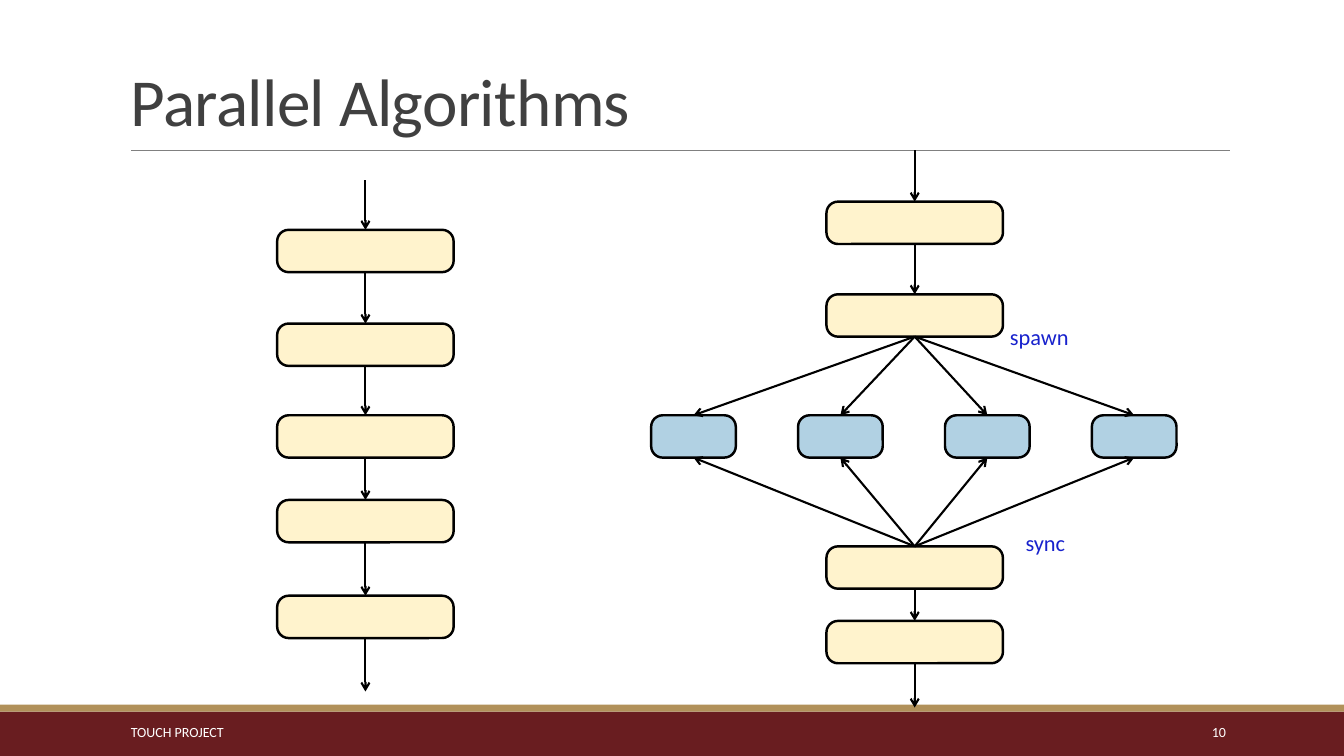
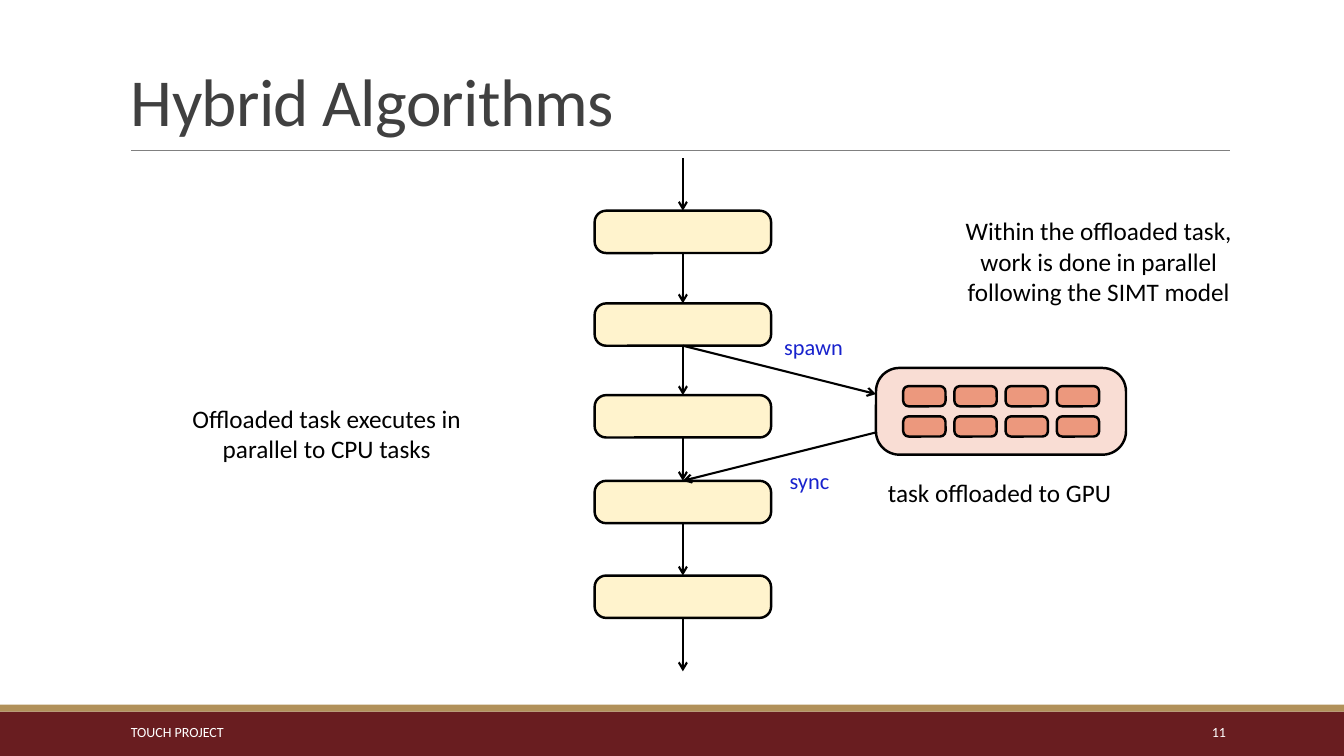
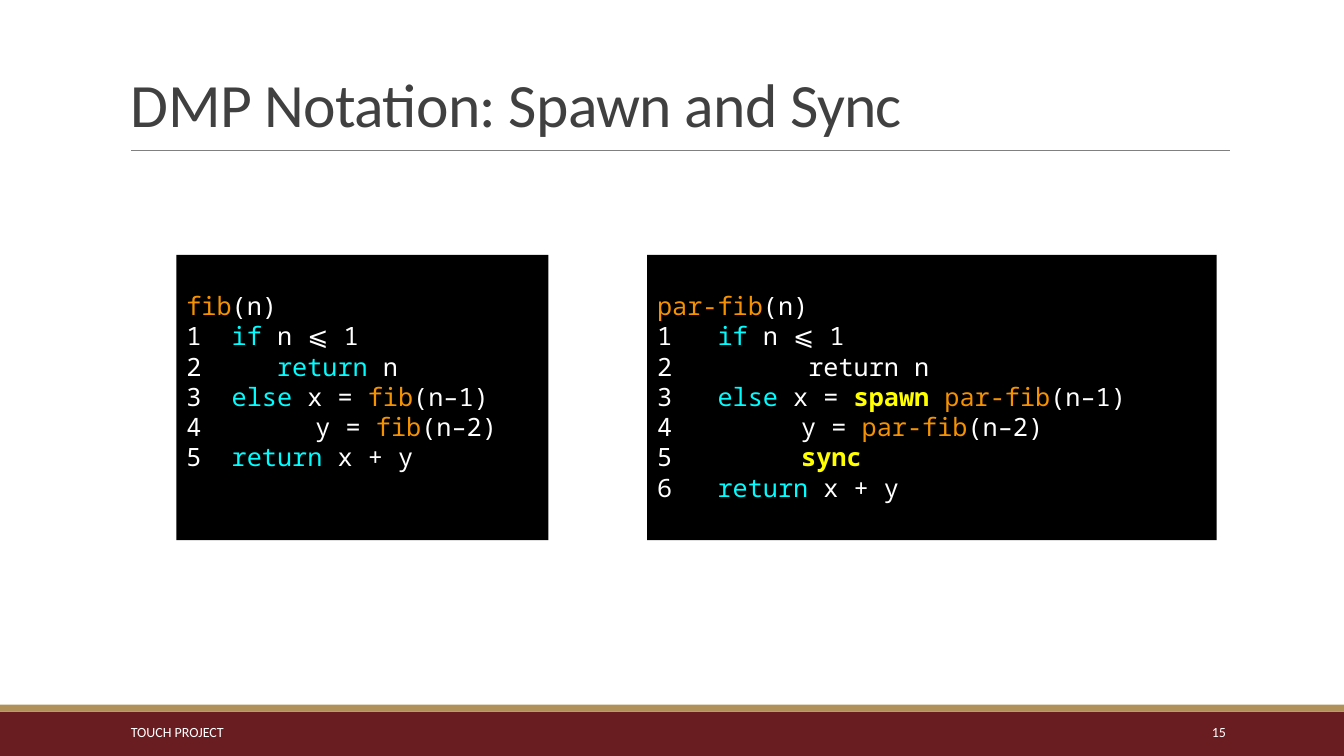
from lxml.etree import SubElement
from pptx import Presentation
from pptx.dml.color import RGBColor
from pptx.enum.shapes import MSO_CONNECTOR as CONNECTOR, MSO_SHAPE as SHAPE
from pptx.enum.text import MSO_ANCHOR as ANCHOR, PP_ALIGN as ALIGN
from pptx.oxml.ns import qn
from pptx.util import Inches, Pt

WIDTH, HEIGHT = Inches(13.33), Inches(7.5)

# Shared look; all positions and sizes are percentages of the slide
FONT, CODE_FONT = "Calibri", "Noto Sans Mono"
BLACK, WHITE, TITLE_GREY, RULE_GREY = "000000", "FFFFFF", "404040", "808080"
MAROON, GOLD, LABEL_BLUE = "691D20", "B1915A", "1822CD"
STEP_FILL, WORKER_FILL, GPU_FILL, CORE_FILL = "FFF3CD", "B1D1E3", "F9DDD4", "EC987D"
RULE_Y, FOOTER_Y = 19.87, 94.13
STEP_W, STEP_H, WORKER_W = 13.13, 5.6, 6.3
CORNER = 0.27

# Code colours by token
CYAN, ORANGE, YELLOW = "00FDFF", "F69200", "FFFF00"
TOKEN_COLOURS = {
    "if": CYAN, "else": CYAN, "return": CYAN,
    "fib": ORANGE, "par-fib": ORANGE,
    "spawn": YELLOW, "sync": YELLOW,
}

# Lines that start with a space are numbered automatically
FIB = [
    "fib|(n)",
    "1  |if| n ⩽ 1",
    "2     |return| n",
    "3  |else| x = |fib|(n–1)",
    "      y = |fib|(n–2)",
    "5  |return| x + y",
]
PAR_FIB = [
    "par-fib|(n)",
    "1   |if| n ⩽ 1",
    "2         return n",
    "3   |else |x = |spawn |par-fib|(n–1)",
    "       y = |par-fib|(n–2)",
    "       |sync",
    "6   |return| x + y",
]
FIRST_AUTO_NUMBER = 4


def colour(hex_value):
    return RGBColor.from_string(hex_value)


def across(share):
    return round(WIDTH * share / 100)


def down(share):
    return round(HEIGHT * share / 100)


def area(x, y, w, h):
    return across(x), down(y), across(w), down(h)


# Kinds of element
def block(slide, x, y, w, h, fill, kind=SHAPE.RECTANGLE):
    shape = slide.shapes.add_shape(kind, *area(x, y, w, h))
    shape.shadow.inherit = False
    shape.fill.solid()
    shape.fill.fore_color.rgb = colour(fill)
    shape.line.fill.background()
    return shape


def rounded(slide, x, y, w, h, fill):
    shape = block(slide, x, y, w, h, fill, SHAPE.ROUNDED_RECTANGLE)
    shape.adjustments[0] = CORNER
    shape.line.color.rgb = colour(BLACK)
    shape.line.width = Pt(1.75)


def line(slide, start, end, ink=BLACK, width=1.5, arrow=True):
    (x1, y1), (x2, y2) = start, end
    connector = slide.shapes.add_connector(
        CONNECTOR.STRAIGHT, across(x1), down(y1), across(x2), down(y2))
    connector.line.color.rgb = colour(ink)
    connector.line.width = Pt(width)
    if arrow:
        SubElement(connector.line._get_or_add_ln(), qn("a:tailEnd"), type="arrow")
    SubElement(connector._element.spPr, qn("a:effectLst"))


def style(paragraph, size, ink, name=FONT):
    paragraph.font.size = Pt(size)
    paragraph.font.name = name
    paragraph.font.color.rgb = colour(ink)


def text(slide, x, y, w, h, words, size=18, ink=BLACK, align=ALIGN.CENTER,
         anchor=ANCHOR.TOP, wrap=True):
    frame = slide.shapes.add_textbox(*area(x, y, w, h)).text_frame
    frame.word_wrap = wrap
    frame.vertical_anchor = anchor
    paragraph = frame.paragraphs[0]
    paragraph.text = words
    paragraph.alignment = align
    style(paragraph, size, ink)
    return paragraph


def label(slide, x, y, w, words):
    text(slide, x, y, w, 4.93, words, 16, LABEL_BLUE)


def chain(slide, x, tops, start=None, end=None):
    """Column of steps centred on x, joined by arrows."""
    for top in tops:
        rounded(slide, x - STEP_W / 2, top, STEP_W, STEP_H, STEP_FILL)
    sources = [start] + [top + STEP_H for top in tops]
    targets = tops + [end]
    for source, target in zip(sources, targets):
        if source is not None and target is not None:
            line(slide, (x, source), (x, target))


def code_panel(slide, x, w, lines):
    panel = slide.shapes.add_textbox(*area(x, 33.73, w, 37.73))
    panel.fill.solid()
    panel.fill.fore_color.rgb = colour(BLACK)
    frame = panel.text_frame
    frame.word_wrap = True
    frame.margin_top = down(4.7)
    for index, code in enumerate(lines):
        paragraph = frame.paragraphs[0] if index == 0 else frame.add_paragraph()
        paragraph.line_spacing = Pt(21.6)
        if code.startswith(" "):
            props = paragraph._p.get_or_add_pPr()
            indent = Inches(0.38)
            props.set("marL", str(indent))
            props.set("indent", str(-indent))
            SubElement(props, qn("a:buFont"), typeface=CODE_FONT)
            SubElement(props, qn("a:buAutoNum"), type="arabicPlain",
                       startAt=str(FIRST_AUTO_NUMBER))
        style(paragraph, 18, WHITE, CODE_FONT)
        for token in code.split("|"):
            run = paragraph.add_run()
            run.text = token
            ink = TOKEN_COLOURS.get(token.strip())
            if ink:
                run.font.color.rgb = colour(ink)
                run.font.bold = ink == YELLOW


# Title, rule and footer of every slide
def new_slide(deck, title, number, title_size=48):
    slide = deck.slides.add_slide(deck.slide_layouts[6])
    block(slide, 0, FOOTER_Y, 100, 100 - FOOTER_Y, MAROON)
    block(slide, 0, 93.2, 100, FOOTER_Y - 93.2, GOLD)
    line(slide, (9.75, RULE_Y), (91.5, RULE_Y), RULE_GREY, 0.5, arrow=False)
    heading = text(slide, 9, 4.13, 82.5, 15.07, title, title_size, TITLE_GREY,
                   ALIGN.LEFT, ANCHOR.BOTTOM)
    heading.line_spacing = 0.85
    heading.runs[0].font._element.set("spc", "-50")
    for x, w, words, align in ((9, 20.25, "TOUCH PROJECT", ALIGN.LEFT),
                               (81.22, 10.73, str(number), ALIGN.RIGHT)):
        text(slide, x, FOOTER_Y, w, 5.33, words, 10, WHITE, align, ANCHOR.MIDDLE)
    return slide


# Slides
def parallel_algorithms(deck):
    slide = new_slide(deck, "Parallel Algorithms", 10)
    worker_y = 54.93
    chain(slide, 27.19, [30.4, 42.8, worker_y, 66.13, 78.8], 23.87, 91.47)

    # Fork and join
    middle, before, after = 68.06, [26.67, 38.93], [72.27, 82.13]
    label(slide, 71.93, 42.13, 10.8, "spawn")
    label(slide, 72.38, 69.33, 10.8, "sync")
    chain(slide, middle, before, start=RULE_Y)
    chain(slide, middle, after, end=93.6)
    for worker in range(4):
        x = 51.6 + 10.93 * worker
        rounded(slide, x - WORKER_W / 2, worker_y, WORKER_W, STEP_H, WORKER_FILL)
        line(slide, (middle, before[-1] + STEP_H), (x, worker_y))
        line(slide, (middle, after[0]), (x, worker_y + STEP_H))


def hybrid_algorithms(deck):
    slide = new_slide(deck, "Hybrid Algorithms", 11)
    cpu_x, cpu_tops = 50.81, [27.87, 40.13, 52.27, 63.6, 76.13]
    chain(slide, cpu_x, cpu_tops, 20.93, 88.8)

    # Offloaded task with its cores
    gpu_x = 65.18
    line(slide, (cpu_x, cpu_tops[1] + STEP_H), (gpu_x, 52.13))
    line(slide, (gpu_x, 57.2), (cpu_x, cpu_tops[3]))
    rounded(slide, gpu_x, 48.67, 18.6, 11.47, GPU_FILL)
    for row in range(2):
        for column in range(4):
            rounded(slide, 67.2 + 3.81 * column, 51.07 + 4 * row, 3.15, 2.67, CORE_FILL)

    # Labels and remarks
    label(slide, 56.78, 43.47, 7.5, "spawn")
    label(slide, 56.48, 61.07, 7.5, "sync")
    text(slide, 65.33, 62.53, 18.3, 5.33, "task offloaded to GPU",
         align=ALIGN.LEFT, wrap=False)
    text(slide, 69.83, 27.87, 23.85, 13.47,
         "Within the offloaded task, work is done in parallel following the SIMT model")
    text(slide, 12.38, 52.67, 23.85, 9.47,
         "Offloaded task executes in parallel to CPU tasks")


def spawn_and_sync(deck):
    slide = new_slide(deck, "DMP Notation: Spawn and Sync", 15, title_size=44)
    code_panel(slide, 13.13, 27.68, FIB)
    code_panel(slide, 48.15, 42.38, PAR_FIB)


def main():
    deck = Presentation()
    deck.slide_width, deck.slide_height = WIDTH, HEIGHT
    parallel_algorithms(deck)
    hybrid_algorithms(deck)
    spawn_and_sync(deck)
    deck.save("out.pptx")


if __name__ == "__main__":
    main()
